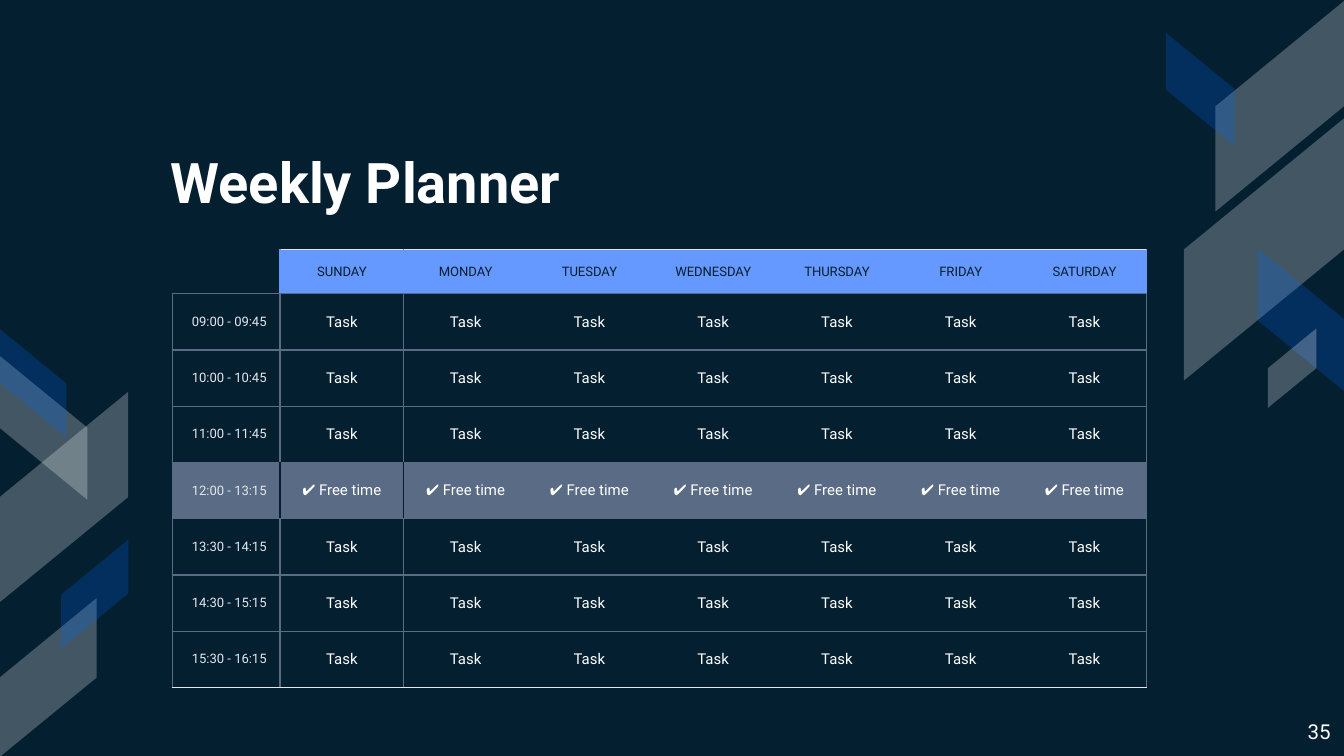
from lxml import etree
from pptx import Presentation
from pptx.dml.color import RGBColor
from pptx.enum import shapes, text
from pptx.oxml.ns import qn
from pptx.util import Pt

NAVY = RGBColor(0x04, 0x1F, 0x30)
WHITE = RGBColor(0xFF, 0xFF, 0xFF)
BLUE = RGBColor(0x00, 0x66, 0xFF)
HEADER = RGBColor(0x66, 0x99, 0xFF)
SLATE = RGBColor(0x5A, 0x6B, 0x85)
PALE = RGBColor(0xE3, 0xE7, 0xEC)

FONT = "Roboto"
INSET = 7.2
NO_STYLE = "{2D5ABB26-0587-4C30-8999-92F81FD0307C}"
ALPHA = {WHITE: 25, BLUE: 23}

DAYS = ["SUNDAY", "MONDAY", "TUESDAY", "WEDNESDAY", "THURSDAY", "FRIDAY", "SATURDAY"]
TIMES = ["09:00 - 09:45", "10:00 - 10:45", "11:00 - 11:45", "12:00 - 13:15",
         "13:30 - 14:15", "14:30 - 15:15", "15:30 - 16:15"]
BREAK_ROW = 4

# Ribbons: left, top, width, height within the cluster, rising to the right, colour
RIGHT_RIBBONS = [
    (26.6, 0.3, 69.1, 113, True, WHITE),
    (9.7, 63.4, 85.7, 140.4, True, WHITE),
    (49.3, 133.2, 46.1, 76.3, False, BLUE),
    (0, 17.6, 36.7, 60.5, False, BLUE),
    (54.7, 176, 25.9, 42.5, True, WHITE),
]
LEFT_RIBBONS = [
    (-0.4, 33.9, 69.1, 113, True, WHITE),
    (0, 14.8, 46.8, 77, False, WHITE),
    (0, 144.4, 51.8, 85, True, WHITE),
    (-0.4, 0, 36, 58.3, False, BLUE),
    (32.8, 113.1, 36, 58.3, True, BLUE),
]


def add_run(p, words, size, color, align, bold=False):
    p.alignment = align
    r = p.add_run()
    r.text = words
    r.font.name = FONT
    r.font.size = Pt(size)
    r.font.bold = bold
    r.font.color.rgb = color


def set_insets(frame):
    frame.margin_left = frame.margin_right = Pt(INSET)
    frame.margin_top = frame.margin_bottom = Pt(INSET)


def add_ribbons(s, left, top, ribbons):
    for x, y, w, h, rising, color in ribbons:
        # A quarter turn swaps the sides around the same centre
        shift = (h - w) / 2
        sp = s.shapes.add_shape(shapes.MSO_SHAPE.PARALLELOGRAM, Pt(left + x - shift),
                                Pt(top + y + shift), Pt(h), Pt(w))
        sp.adjustments[0] = 0.819
        sp.rotation = 90
        if rising:
            sp._element.spPr.xfrm.set("flipH", "1")
        sp.shadow.inherit = False
        sp.line.fill.background()
        sp.fill.solid()
        sp.fill.fore_color.rgb = color
        clr = sp._element.spPr.find(qn("a:solidFill"))[0]
        etree.SubElement(clr, qn("a:alpha"), val=str(ALPHA[color] * 1000))


def add_title(s, left, top, width, height):
    title = s.shapes.title
    title.left, title.top, title.width, title.height = map(Pt, (left, top, width, height))
    tf = title.text_frame
    tf.auto_size = text.MSO_AUTO_SIZE.NONE
    tf.vertical_anchor = text.MSO_ANCHOR.BOTTOM
    set_insets(tf)
    add_run(tf.paragraphs[0], "Weekly Planner", 30, WHITE, text.PP_ALIGN.LEFT, bold=True)


def add_page_number(s, left, top, width, height):
    tf = s.shapes.add_textbox(Pt(left), Pt(top), Pt(width), Pt(height)).text_frame
    tf.word_wrap = True
    set_insets(tf)
    add_run(tf.paragraphs[0], "35", 11, WHITE, text.PP_ALIGN.RIGHT)


def cell_borders(row, col):
    """Return the border colours in the order left, right, top, bottom."""
    last_row, last_col = len(TIMES), len(DAYS)
    if row == 0:
        return {"L": HEADER if col == 1 else None,
                "R": HEADER if col in (0, last_col) else None,
                "T": PALE if col else None,
                "B": SLATE}
    divider = NAVY if row == BREAK_ROW else SLATE
    return {"L": {0: SLATE, 1: divider}.get(col),
            "R": {0: divider, last_col: SLATE}.get(col),
            "T": SLATE,
            "B": PALE if row == last_row else SLATE}


def set_borders(cell, borders):
    tc_pr = cell._tc.get_or_add_tcPr()
    for side, color in borders.items():
        if color is not None:
            ln = etree.SubElement(tc_pr, qn(f"a:ln{side}"), w=str(Pt(0.75)))
            fill = etree.SubElement(ln, qn("a:solidFill"))
            etree.SubElement(fill, qn("a:srgbClr"), val=str(color))


def fill_cell(cell, row, col):
    set_insets(cell)
    cell.vertical_anchor = text.MSO_ANCHOR.MIDDLE
    set_borders(cell, cell_borders(row, col))

    color = HEADER if row == 0 and col else SLATE if row == BREAK_ROW else None
    if color is None:
        cell.fill.background()
    else:
        cell.fill.solid()
        cell.fill.fore_color.rgb = color

    p = cell.text_frame.paragraphs[0]
    if row == 0 and col == 0:
        # Small type keeps the empty corner from stretching the row
        etree.SubElement(p._p, qn("a:endParaRPr"), sz="700")
    elif row == 0:
        add_run(p, DAYS[col - 1], 7, NAVY, text.PP_ALIGN.CENTER)
    elif col == 0:
        add_run(p, TIMES[row - 1], 7, PALE, text.PP_ALIGN.RIGHT)
    else:
        words = "✔ Free time" if row == BREAK_ROW else "Task"
        add_run(p, words, 8, WHITE, text.PP_ALIGN.CENTER)


def add_planner(s, left, top, width, height, time_width=57.8, header_height=23.9):
    table = s.shapes.add_table(len(TIMES) + 1, len(DAYS) + 1, Pt(left), Pt(top),
                               Pt(width), Pt(height)).table
    table.first_row = table.horz_banding = False
    table._tbl.tblPr.find(qn("a:tableStyleId")).text = NO_STYLE
    for i, column in enumerate(table.columns):
        column.width = Pt((width - time_width) / len(DAYS) if i else time_width)
    for i, row in enumerate(table.rows):
        row.height = Pt((height - header_height) / len(TIMES) if i else header_height)
        for j, cell in enumerate(row.cells):
            fill_cell(cell, i, j)


def main():
    prs = Presentation()
    prs.slide_width, prs.slide_height = Pt(720), Pt(405)
    s = prs.slides.add_slide(prs.slide_layouts[5])
    s.background.fill.solid()
    s.background.fill.fore_color.rgb = NAVY

    # Side decoration
    add_ribbons(s, 624.6, 0, RIGHT_RIBBONS)
    add_ribbons(s, 0, 176, LEFT_RIBBONS)

    # Content
    add_title(s, 84.2, 72, 470.2, 50.4)
    add_page_number(s, 673.9, 378.7, 46.1, 25.9)
    add_planner(s, 92.2, 133.5, 522, 235)
    prs.save("out.pptx")


if __name__ == "__main__":
    main()
